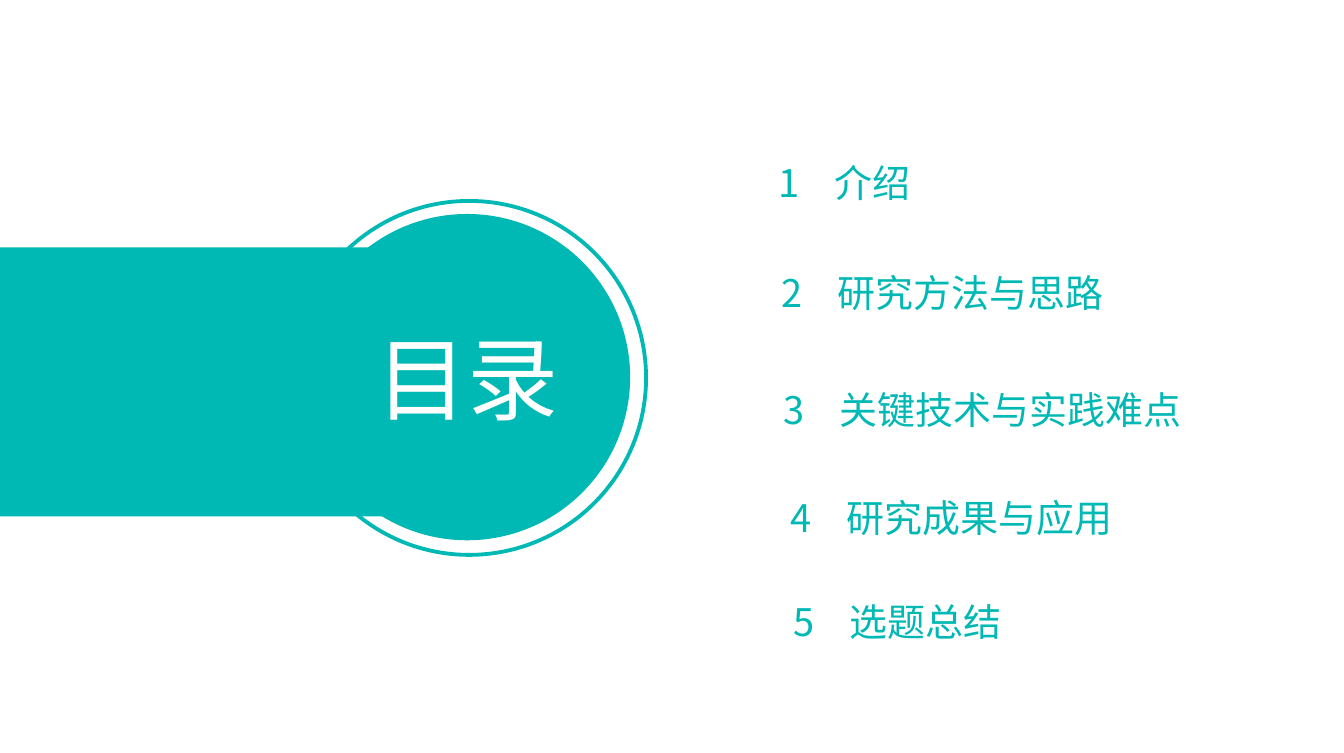
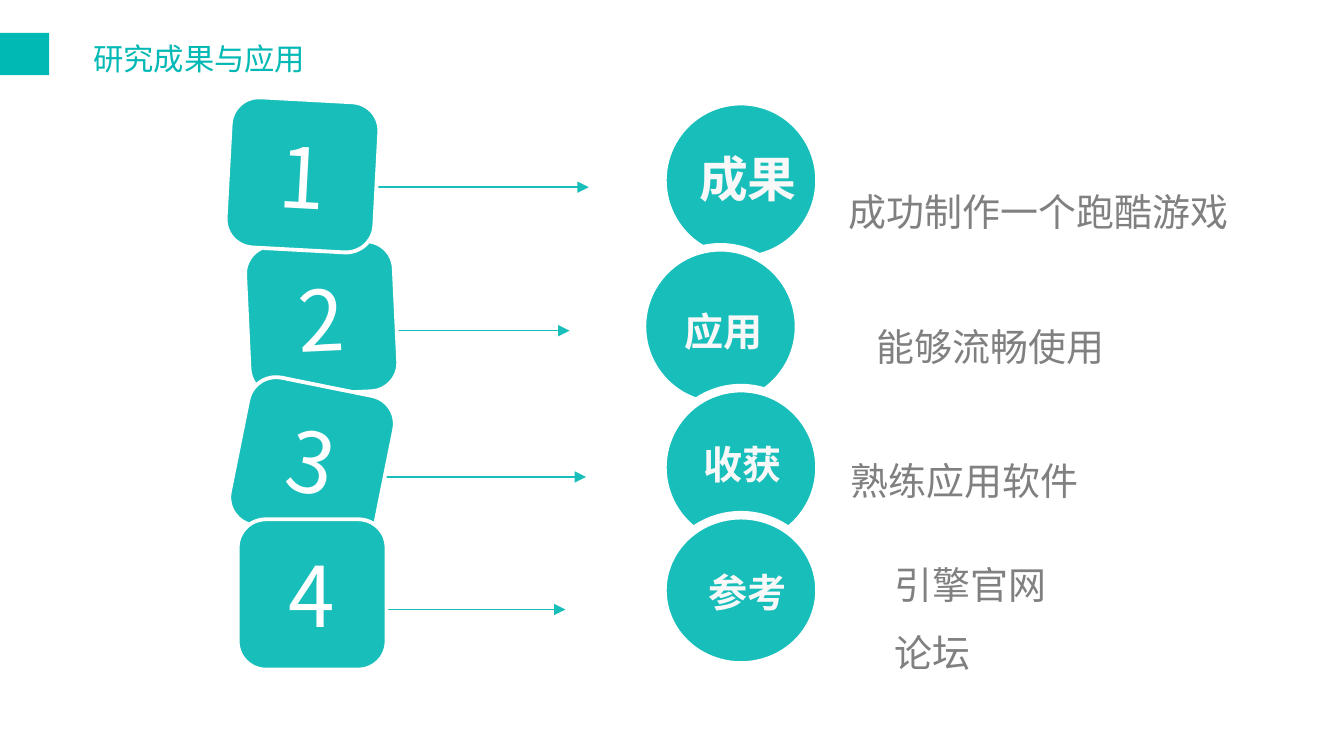
"""Contents slide and results slide of a thesis talk."""
from typing import NamedTuple, Optional

from lxml import etree
from pptx import Presentation
from pptx.dml.color import RGBColor
from pptx.enum import shapes, text
from pptx.oxml import ns
from pptx.util import Inches, Pt

TEAL, SOFT_TEAL = "00B8B4", "18BEBA"
WHITE, OFF_WHITE, GREY = "FFFFFF", "F8F8F8", "808080"
CJK, LATIN = "Noto Sans CJK SC", "Arial"
SHAPE, ALIGN, ANCHOR = shapes.MSO_SHAPE, text.PP_ALIGN, text.MSO_ANCHOR
TEXT_INSETS = (0.07, 0.04)


class Box(NamedTuple):
    """Left, top, width and height in inches."""
    left: float
    top: float
    width: float
    height: float

    def lengths(self) -> list:
        """Return the four values as lengths."""
        return [Inches(value) for value in self]


class Entry(NamedTuple):
    """One line of the contents list."""
    left: float
    top: float
    topic: str


class Tile(NamedTuple):
    """A tilted number tile."""
    number: str
    left: float
    top: float
    angle: float


class Arrow(NamedTuple):
    """A horizontal arrow."""
    start: float
    end: float
    y: float


class Outcome(NamedTuple):
    """A circle with its label."""
    label: str
    circle: Box
    label_box: Box
    size: float


class Detail(NamedTuple):
    """A grey explanation beside a circle."""
    content: str
    left: float
    top: float
    height: float = 0.5


ENTRIES = [
    Entry(5.7, 1.17, "介绍"),
    Entry(5.72, 1.97, "研究方法与思路"),
    Entry(5.74, 2.83, "关键技术与实践难点"),
    Entry(5.79, 3.62, "研究成果与应用"),
    Entry(5.81, 4.38, "选题总结"),
]
TILES = [
    Tile("2", 1.81, 1.78, 357.3),
    Tile("1", 1.67, 0.73, 3.1),
    Tile("3", 1.74, 2.82, 11.4),
    Tile("4", 1.74, 3.8, 0),
]
ARROWS = [
    Arrow(2.7, 4.31, 1.37),
    Arrow(2.83, 4.17, 2.42),
    Arrow(2.55, 4.29, 3.49),
    Arrow(2.79, 4.14, 4.46),
]
OUTCOMES = [
    Outcome("成果", Box(4.85, 0.74, 1.15, 1.16), Box(5.02, 1.04, 0.93, 0.53), 25.7),
    Outcome("应用", Box(4.7, 1.81, 1.15, 1.16), Box(4.91, 2.2, 0.78, 0.45), 20.6),
    Outcome("收获", Box(4.85, 2.84, 1.15, 1.16), Box(5.05, 3.17, 0.78, 0.45), 20.6),
    Outcome("参考", Box(4.85, 3.77, 1.15, 1.1), Box(5.09, 4.11, 0.78, 0.45), 20.6),
]
DETAILS = [
    Detail("成功制作一个跑酷游戏", 6.14, 1.17),
    Detail("能够流畅使用", 6.35, 2.16),
    Detail("熟练应用软件", 6.16, 3.14),
    Detail("引擎官网\n论坛", 6.48, 3.9, 1.01),
]


def rgb(value: str) -> RGBColor:
    """Turn a hex string into a colour."""
    return RGBColor.from_string(value)


def write(shape, content: str, *, size: float, color: str, font: str = CJK,
          bold: bool = False, align=ALIGN.LEFT, anchor=ANCHOR.TOP,
          insets: tuple = (0, 0), spacing: float = 1, wrap: bool = True,
          tab: Optional[float] = None) -> None:
    """Fill a shape with formatted text, one paragraph per line."""
    frame = shape.text_frame
    frame.word_wrap, frame.vertical_anchor = wrap, anchor
    frame.auto_size = text.MSO_AUTO_SIZE.NONE
    frame.margin_left = frame.margin_right = Inches(insets[0])
    frame.margin_top = frame.margin_bottom = Inches(insets[1])
    frame.text = content
    for paragraph in frame.paragraphs:
        paragraph.alignment, paragraph.line_spacing = align, spacing
        if tab is not None:
            stops = etree.SubElement(paragraph._p.get_or_add_pPr(), ns.qn("a:tabLst"))
            etree.SubElement(stops, ns.qn("a:tab"), pos=str(Inches(tab)), algn="l")
        for run in paragraph.runs:
            run.font.size, run.font.bold = Pt(size), bold
            run.font.name, run.font.color.rgb = font, rgb(color)
            etree.SubElement(run._r.get_or_add_rPr(), ns.qn("a:ea"), typeface=CJK)


def add_shape(slide, kind, box: Box, *, fill: Optional[str] = None,
              line: Optional[str] = None, width: float = 2):
    """Add a flat preset shape."""
    shape = slide.shapes.add_shape(kind, *box.lengths())
    shape.shadow.inherit = False
    if fill:
        shape.fill.solid()
        shape.fill.fore_color.rgb = rgb(fill)
    else:
        shape.fill.background()
    if line:
        shape.line.color.rgb, shape.line.width = rgb(line), Pt(width)
    else:
        shape.line.fill.background()
    return shape


def add_text(slide, box: Box, content: str, **style) -> None:
    """Add a text box."""
    write(slide.shapes.add_textbox(*box.lengths()), content, **style)


def add_arrow(slide, arrow: Arrow) -> None:
    """Add a thin arrow pointing right."""
    y = Inches(arrow.y)
    line = slide.shapes.add_connector(
        shapes.MSO_CONNECTOR.STRAIGHT, Inches(arrow.start), y, Inches(arrow.end), y)
    line.line.color.rgb, line.line.width = rgb(SOFT_TEAL), Pt(0.75)
    etree.SubElement(line.line._get_or_add_ln(), ns.qn("a:tailEnd"), type="triangle")
    etree.SubElement(line._element.spPr, ns.qn("a:effectLst"))


def set_title(slide, box: Box, content: str, **style) -> None:
    """Place the title in front of the shapes drawn so far."""
    title = slide.shapes.title
    title.left, title.top, title.width, title.height = box.lengths()
    write(title, content, align=ALIGN.CENTER, **style)
    tree = title.element.getparent()
    tree.append(title.element)


def build_contents(slide) -> None:
    """Draw the contents slide."""
    disc = Box(2.24, 1.58, 2.36, 2.36)
    add_shape(slide, SHAPE.RECTANGLE, Box(0, 1.81, 3.81, 1.97), fill=TEAL)
    add_shape(slide, SHAPE.OVAL, Box(2.14, 1.47, 2.59, 2.59), line=TEAL)
    add_shape(slide, SHAPE.OVAL, disc, fill=TEAL, line=TEAL)
    set_title(slide, disc, "目录", size=48, color=WHITE, anchor=ANCHOR.MIDDLE)
    for number, entry in enumerate(ENTRIES, 1):
        add_text(slide, Box(entry.left, entry.top, 3.5, 0.79),
                 f"{number}\t{entry.topic}", size=20, color=TEAL, tab=0.41)


def build_results(slide) -> None:
    """Draw the results slide."""
    for outcome in OUTCOMES:
        add_shape(slide, SHAPE.OVAL, outcome.circle, fill=SOFT_TEAL, line=WHITE, width=4.5)
        add_text(slide, outcome.label_box, outcome.label, size=outcome.size,
                 color=OFF_WHITE, font=LATIN, bold=True, insets=(0.1, 0.05), wrap=False)
    for detail in DETAILS:
        add_text(slide, Box(detail.left, detail.top, 3.24, detail.height), detail.content,
                 size=20, color=GREY, font=LATIN, insets=TEXT_INSETS, spacing=1.5)
    for arrow in ARROWS:
        add_arrow(slide, arrow)
    for tile in TILES:
        square = add_shape(slide, SHAPE.ROUNDED_RECTANGLE,
                           Box(tile.left, tile.top, 1.09, 1.1), fill=SOFT_TEAL, line=WHITE)
        square.adjustments[0], square.rotation = 0.19, tile.angle
        write(square, tile.number, size=44.1, color=WHITE,
              align=ALIGN.CENTER, anchor=ANCHOR.MIDDLE)
    add_shape(slide, SHAPE.RECTANGLE, Box(0, 0.24, 0.36, 0.31), fill=TEAL)
    set_title(slide, Box(0.2, 0.24, 2.52, 0.47), "研究成果与应用",
              size=16, color=TEAL, spacing=1.2)


def main() -> None:
    """Build and save the presentation."""
    deck = Presentation()
    deck.slide_width, deck.slide_height = Inches(9.84), Inches(5.51)
    title_only = deck.slide_layouts[5]
    for build in (build_contents, build_results):
        build(deck.slides.add_slide(title_only))
    deck.save("out.pptx")


if __name__ == "__main__":
    main()
